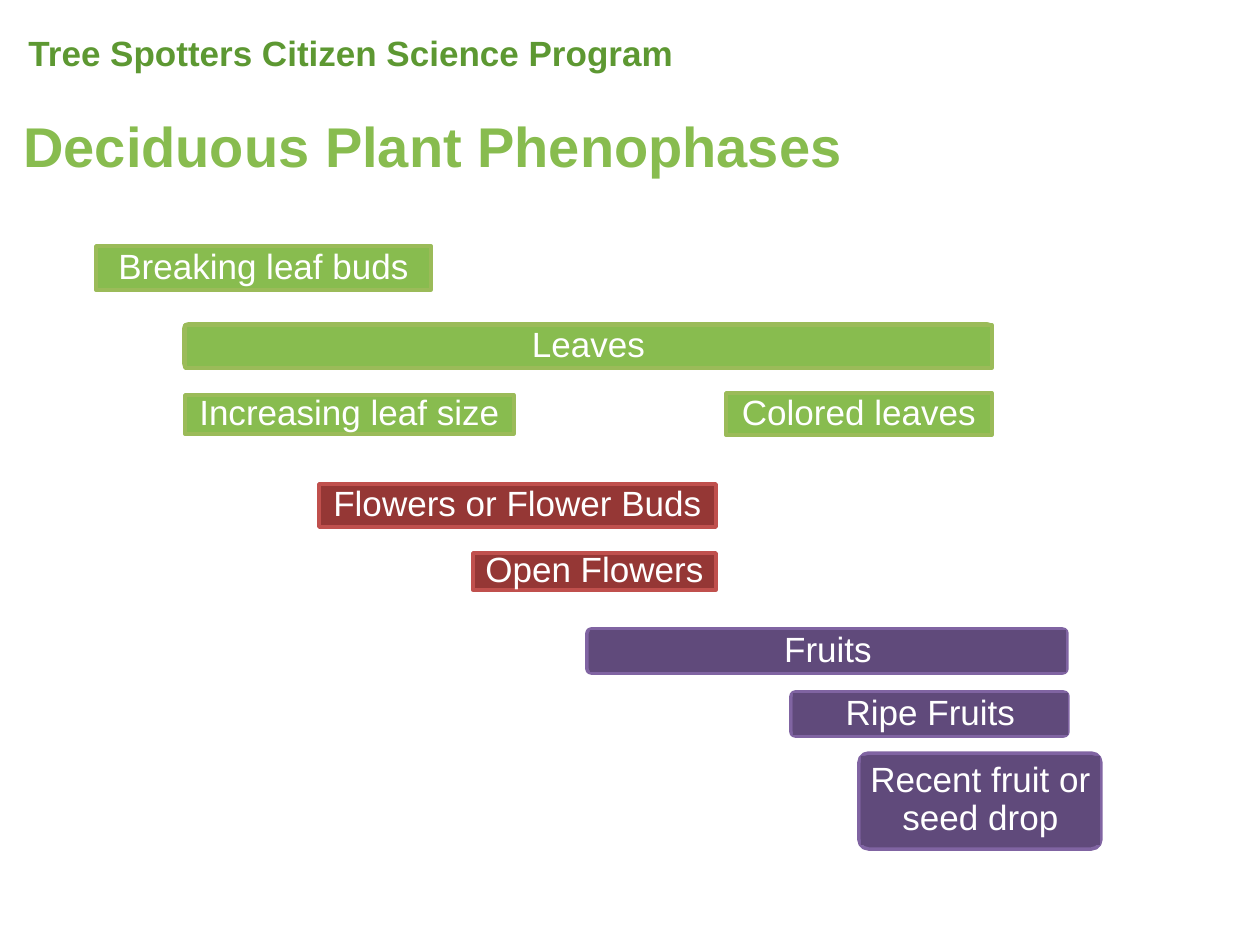
from pptx import Presentation
from pptx.dml.color import RGBColor
from pptx.enum.shapes import MSO_SHAPE
from pptx.enum.text import MSO_ANCHOR, MSO_AUTO_SIZE, PP_ALIGN
from pptx.util import Emu, Pt

WHITE = RGBColor(0xFF, 0xFF, 0xFF)
LEAF = RGBColor(0x88, 0xBC, 0x4F)
LEAF_EDGE = RGBColor(0x9B, 0xBB, 0x59)
FLOWER = RGBColor(0x95, 0x37, 0x35)
FLOWER_EDGE = RGBColor(0xC0, 0x50, 0x4D)
FRUIT = RGBColor(0x60, 0x4A, 0x7B)
FRUIT_EDGE = RGBColor(0x80, 0x64, 0xA2)
DARK_GREEN = RGBColor(0x5D, 0x98, 0x32)

PX_PER_INCH = 126


def px(n):
    return Emu(round(n * 914400 / PX_PER_INCH))


def write(tf, text, size=20, color=WHITE, bold=False, align=None,
          line_spacing=None, space_after=None):
    p = tf.paragraphs[0]
    p.alignment = align
    p.line_spacing = line_spacing
    p.space_after = space_after
    r = p.add_run()
    r.text = text
    r.font.name = "Arial"
    r.font.size = Pt(size)
    r.font.bold = bold
    r.font.color.rgb = color


class Slide:
    def __init__(self, prs):
        self.s = prs.slides.add_slide(prs.slide_layouts[6])

    def heading(self, text, box, size, color, wrap=True):
        tf = self.s.shapes.add_textbox(*map(px, box)).text_frame
        tf.word_wrap = wrap
        tf.auto_size = MSO_AUTO_SIZE.SHAPE_TO_FIT_TEXT
        write(tf, text, size=size, color=color, bold=True)

    def box(self, shapes, kind, box, fill, edge):
        sp = shapes.add_shape(kind, *map(px, box))
        sp.shadow.inherit = False
        sp.fill.solid()
        sp.fill.fore_color.rgb = fill
        if edge is None:
            sp.line.fill.background()
        else:
            sp.line.color.rgb = edge
            sp.line.width = Pt(2)
        return sp

    def bar(self, text, box, fill, edge, inset=(6, 6), shapes=None):
        sp = self.box(shapes or self.s.shapes, MSO_SHAPE.RECTANGLE, box, fill, edge)
        tf = sp.text_frame
        tf.word_wrap = True
        tf.vertical_anchor = MSO_ANCHOR.MIDDLE
        tf.margin_left = tf.margin_right = px(inset[0])
        tf.margin_top = tf.margin_bottom = px(inset[1])
        write(tf, text, align=PP_ALIGN.CENTER, line_spacing=0.9, space_after=Pt(7))

    def rounded_bar(self, text, outer, inner, fill, edge, inner_edge=None):
        """Group a rounded frame with the rectangle that carries its label."""
        shapes = self.s.shapes.add_group_shape().shapes
        frame = self.box(shapes, MSO_SHAPE.ROUNDED_RECTANGLE, outer, fill, edge)
        frame.adjustments[0] = 0.1
        self.bar(text, inner, fill, inner_edge, inset=(6, 4), shapes=shapes)


def main():
    prs = Presentation()
    prs.slide_width, prs.slide_height = px(1260), px(945)
    slide = Slide(prs)

    slide.bar("Breaking leaf buds", (96, 246, 335, 44), LEAF, LEAF_EDGE)
    slide.rounded_bar("Leaves", (184, 324, 808, 44), (185, 325, 807, 43),
                      LEAF, LEAF_EDGE, inner_edge=LEAF_EDGE)
    for text, box, fill, edge, inset in (
        ("Increasing leaf size", (185, 395, 329, 39), LEAF, LEAF_EDGE, (10, 10)),
        ("Colored leaves", (726, 393, 266, 42), LEAF, LEAF_EDGE, (10, 10)),
        ("Flowers or Flower Buds", (319, 484, 397, 43), FLOWER, FLOWER_EDGE, (4, 3)),
        ("Open Flowers", (473, 553, 243, 37), FLOWER, FLOWER_EDGE, (11, 11)),
    ):
        slide.bar(text, box, fill, edge, inset)
    for text, outer, inner in (
        ("Fruits", (587, 629, 480, 44), (590, 630, 476, 42)),
        ("Ripe Fruits", (791, 692, 277, 44), (793, 693, 275, 42)),
        ("Recent fruit or seed drop", (859, 753, 242, 96), (861, 756, 239, 89)),
    ):
        slide.rounded_bar(text, outer, inner, FRUIT, FRUIT_EDGE)

    slide.heading("Deciduous Plant Phenophases", (11, 105, 970, 81), 32, LEAF)
    slide.heading("Tree Spotters Citizen Science Program", (16, 25, 675, 55), 20,
                  DARK_GREEN, wrap=False)
    prs.save("out.pptx")


if __name__ == "__main__":
    main()
